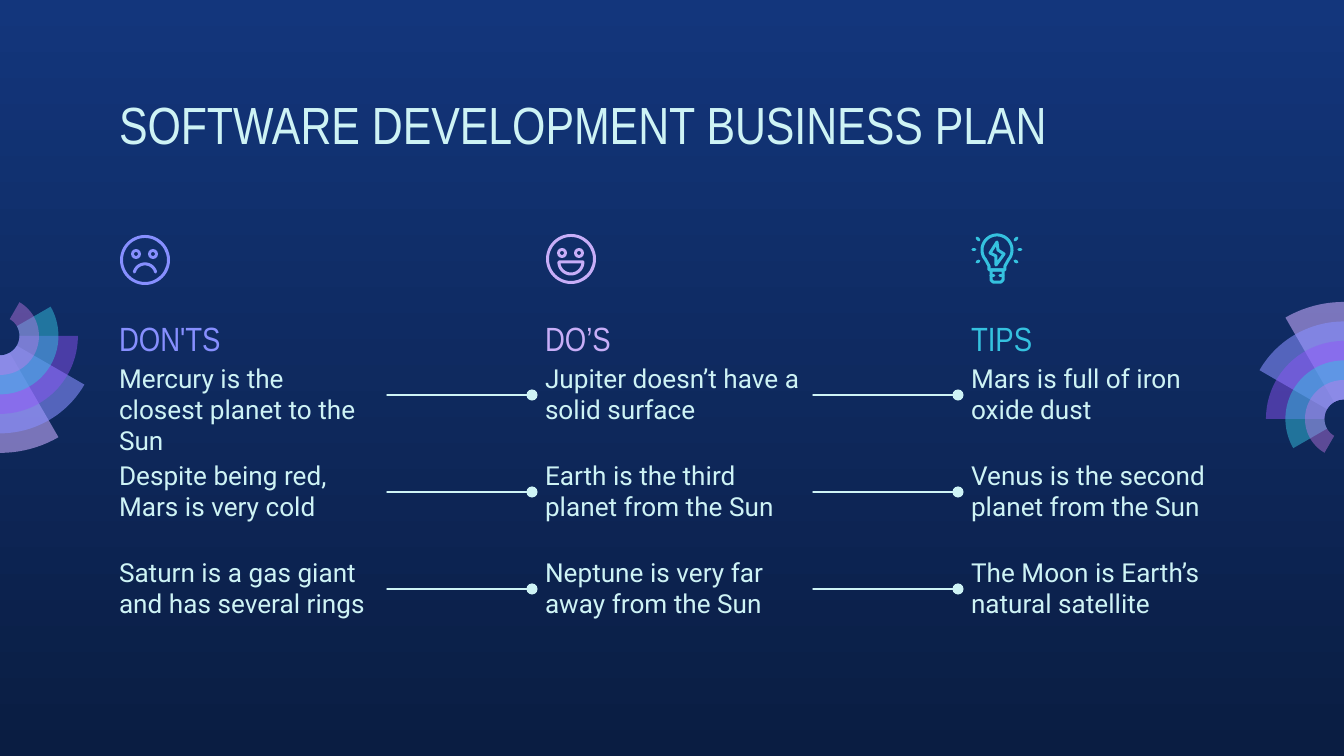
from math import cos, radians, sin

from pptx import Presentation
from pptx.dml.color import RGBColor
from pptx.enum.shapes import MSO_CONNECTOR, MSO_SHAPE
from pptx.enum.text import MSO_ANCHOR, MSO_AUTO_SIZE, PP_ALIGN
from pptx.oxml.ns import qn
from pptx.util import Pt
from lxml import etree

STRAIGHT = MSO_CONNECTOR.STRAIGHT
DONUT = MSO_SHAPE.DONUT
TOP, BOTTOM = MSO_ANCHOR.TOP, MSO_ANCHOR.BOTTOM
NO_AUTOFIT = MSO_AUTO_SIZE.NONE
LEFT = PP_ALIGN.LEFT

EMU_PER_PX = 914400 / 134.4
SLIDE_W, SLIDE_H = 1344, 756


def px(value):
    return round(value * EMU_PER_PX)


def rgb(color):
    return RGBColor.from_string(color)


def arc(cx, cy, radius, start, end, step=3):
    """Points along an arc; angles run clockwise from the right."""
    count = max(1, round(abs(end - start) / step))
    angles = [radians(start + (end - start) * i / count) for i in range(count + 1)]
    return [(cx + radius * cos(a), cy + radius * sin(a)) for a in angles]


class SlideBuilder:
    HEADING_FONT, BODY_FONT = "Arial Narrow", "Roboto"
    PALE, PERIWINKLE, LILAC, CYAN = "CEF3F5", "878FFF", "C8AEF8", "35C2DF"
    INSET, STROKE = 13, 3

    def __init__(self, slide):
        self.slide = slide
        self.shapes = slide.shapes

    def background(self, top, bottom):
        fill = self.slide.background.fill
        fill.gradient()
        fill.gradient_angle = 270
        for stop, color in zip(fill.gradient_stops, (top, bottom)):
            stop.color.rgb = rgb(color)

    def format_text(self, shape, text, size, font, color, anchor):
        frame = shape.text_frame
        frame.text = text
        frame.word_wrap = True
        frame.auto_size = NO_AUTOFIT
        frame.vertical_anchor = anchor
        frame.margin_left = frame.margin_right = px(self.INSET)
        frame.margin_top = frame.margin_bottom = px(self.INSET)
        paragraph = frame.paragraphs[0]
        paragraph.alignment = LEFT
        run_font = paragraph.runs[0].font
        run_font.size, run_font.name = Pt(size), font
        run_font.color.rgb = rgb(color)

    def title(self, text, x, y, w, h):
        title = self.shapes.title
        title.left, title.top, title.width, title.height = map(px, (x, y, w, h))
        self.format_text(title, text, 28, self.HEADING_FONT, self.PALE, TOP)

    def heading(self, text, x, y, w, h, color):
        box = self.shapes.add_textbox(*map(px, (x, y, w, h)))
        self.format_text(box, text, 18, self.HEADING_FONT, color, BOTTOM)

    def body(self, text, x, y, w, h):
        box = self.shapes.add_textbox(*map(px, (x, y, w, h)))
        self.format_text(box, text, 14, self.BODY_FONT, self.PALE, TOP)

    def outline(self, points, closed):
        corners = [(px(x), px(y)) for x, y in points]
        builder = self.shapes.build_freeform(*corners[0], scale=1.0)
        builder.add_line_segments(corners[1:], close=closed)
        shape = builder.convert_to_shape()
        shape.shadow.inherit = False
        return shape

    def area(self, points, color, opacity):
        shape = self.outline(points, True)
        shape.fill.solid()
        shape.fill.fore_color.rgb = rgb(color)
        shape.line.fill.background()
        solid = shape.fill._xPr.find(qn("a:solidFill"))
        etree.SubElement(solid[0], qn("a:alpha"), val=str(opacity * 1000))

    def stroke(self, points, color, closed=True):
        shape = self.outline(points, closed)
        shape.fill.background()
        self.pen(shape, color, px(self.STROKE))

    def pen(self, shape, color, width):
        shape.line.color.rgb = rgb(color)
        shape.line.width = width
        ln = shape.line._get_or_add_ln()
        ln.set("cap", "rnd")
        etree.SubElement(ln, qn("a:round"))
        return ln

    def ring(self, cx, cy, radius, color):
        size = 2 * radius
        ring = self.shapes.add_shape(DONUT, *map(px, (cx - radius, cy - radius, size, size)))
        ring.adjustments[0] = self.STROKE / size
        ring.shadow.inherit = False
        ring.fill.solid()
        ring.fill.fore_color.rgb = rgb(color)
        ring.line.fill.background()

    def line(self, start, end, color, width, dot=False):
        line = self.shapes.add_connector(STRAIGHT, *map(px, (*start, *end)))
        ln = self.pen(line, color, width)
        if dot:
            etree.SubElement(ln, qn("a:tailEnd"), type="oval", w="med", len="med")
        etree.SubElement(line._element.spPr, qn("a:effectLst"))

    def fan(self, cx, cy, turn):
        """Five overlapping ring sectors, each smaller and 30 degrees wider."""
        bands = [("C8ACFD", 58), ("878FFF", 58), ("9154F8", 46), ("35C2DF", 49), ("CA7BEB", 42)]
        unit = 19.5
        for i, (color, opacity) in enumerate(bands):
            start, end = turn + 90, turn + 60 - 30 * i
            outer = arc(cx, cy, unit * (6 - i), start, end)
            inner = arc(cx, cy, unit, end, start)
            self.area(outer + inner, color, opacity)

    def face(self, cx, cy, color):
        self.ring(cx, cy, 25, color)
        for dx in (-9, 8):
            self.ring(cx + dx, cy - 6, 5, color)

    def bulb(self, cx, cy, color):
        def around(*offsets):
            return [(cx + dx, cy + dy) for dx, dy in offsets]

        glass = arc(cx, cy, 15, 140, 400)
        neck = around((8, 16), (8, 20), (-8, 20), (-8, 16))
        self.stroke(glass + neck, color)
        self.stroke(around((-6, 20), (6, 20), (6, 30), (4, 32), (-4, 32), (-6, 30)), color)
        self.stroke(around((0, -8), (-7, 3), (-1, 6), (-1, 15), (7, 4), (1, 0)), color)
        # Base thread and rays, mirrored about the axis
        marks = [((6, 26), (3, 26)), ((22, 0), (24, 0)),
                 ((18, -10), (20, -12)), ((18, 11), (20, 12))]
        for side in (-1, 1):
            for mark in marks:
                start, end = around(*((side * dx, dy) for dx, dy in mark))
                self.line(start, end, color, px(self.STROKE))


def main():
    prs = Presentation()
    prs.slide_width, prs.slide_height = px(SLIDE_W), px(SLIDE_H)
    plan = SlideBuilder(prs.slides.add_slide(prs.slide_layouts[5]))

    # Backdrop
    plan.background("13367C", "0A1D42")
    plan.fan(SLIDE_W, 419, 180)
    plan.fan(0, 336, 0)

    plan.title("SOFTWARE DEVELOPMENT BUSINESS PLAN", 106, 79, 1133, 85)

    # Column icons
    sad_x, happy_x, bulb_x = 145, 571, 997
    plan.face(sad_x, 260, plan.PERIWINKLE)
    plan.stroke(arc(sad_x, 275, 11, 195, 345), plan.PERIWINKLE, closed=False)
    plan.face(happy_x, 259, plan.LILAC)
    plan.stroke(arc(happy_x, 262, 12, 0, 180), plan.LILAC)
    plan.bulb(bulb_x, 250, plan.CYAN)

    # Columns of advice
    columns = [
        ("DON'TS", plan.PERIWINKLE, ["Mercury is the closest planet to the Sun",
                                     "Despite being red, Mars is very cold",
                                     "Saturn is a gas giant and has several rings"]),
        ("DO’S", plan.LILAC, ["Jupiter doesn’t have a solid surface",
                              "Earth is the third planet from the Sun",
                              "Neptune is very far away from the Sun"]),
        ("TIPS", plan.CYAN, ["Mars is full of iron oxide dust",
                             "Venus is the second planet from the Sun",
                             "The Moon is Earth’s natural satellite"]),
    ]
    left, pitch, width = 106, 426, 281
    row_top, row_pitch, row_height = 349, 97, 93
    for col, (heading, color, advice) in enumerate(columns):
        x = left + col * pitch
        plan.heading(heading, x, 301, width, 70, color)
        for row, text in enumerate(advice):
            y = row_top + row * row_pitch
            plan.body(text, x, y, width, row_height)
            # Link from the previous column
            if col:
                link_y = y + 46
                plan.line((x - pitch + width, link_y), (x, link_y), plan.PALE, Pt(0.75), dot=True)

    prs.save("out.pptx")


if __name__ == "__main__":
    main()
